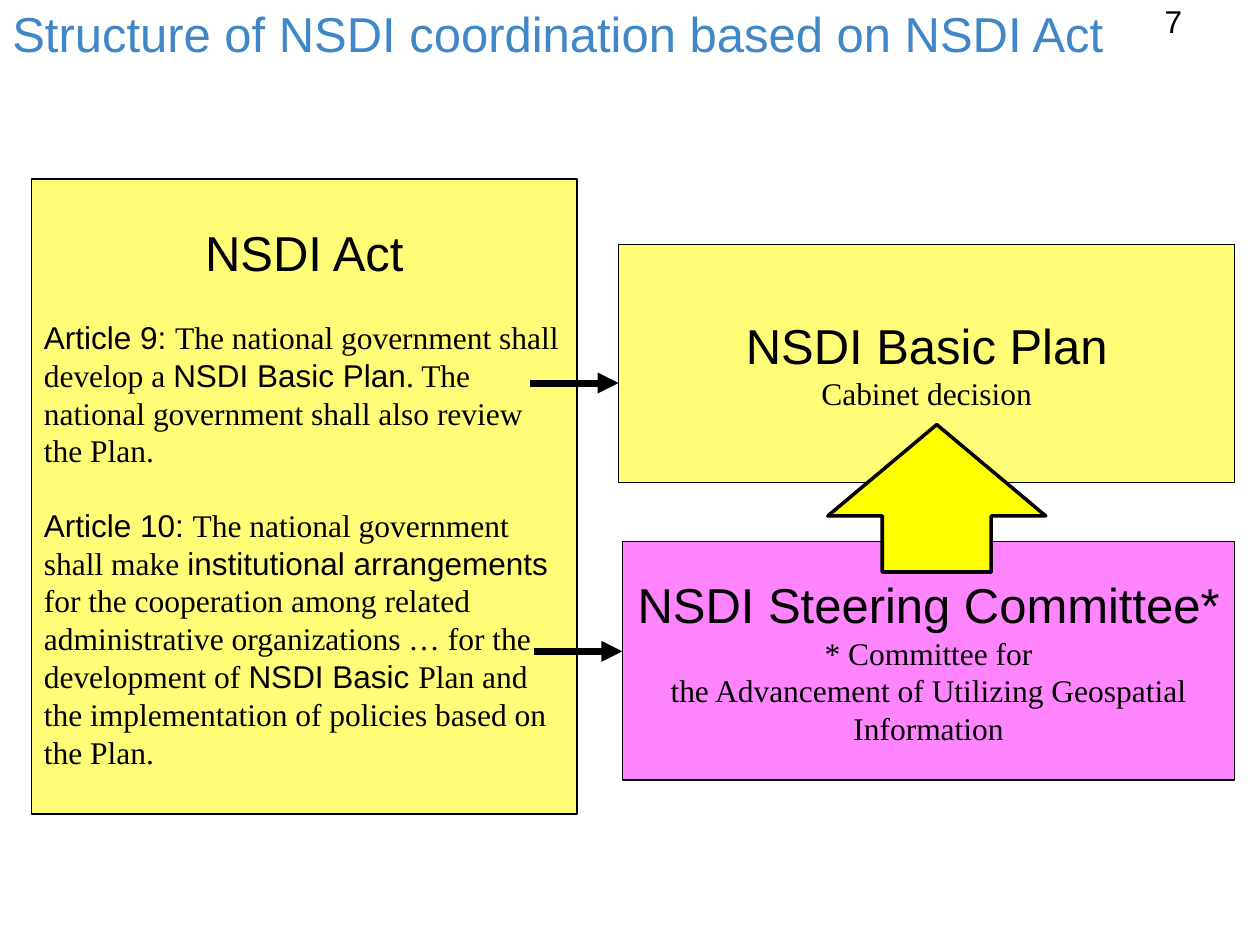
from lxml.etree import SubElement
from pptx import Presentation
from pptx.dml.color import RGBColor
from pptx.enum.shapes import MSO_CONNECTOR as Connector, MSO_SHAPE as Shape
from pptx.enum.text import MSO_ANCHOR as Anchor, PP_ALIGN as Align
from pptx.oxml.ns import qn
from pptx.util import Inches, Pt

SANS, SERIF = "Arial", "Times New Roman"
BLACK, BLUE, YELLOW, PALE_YELLOW, PINK = "000000", "4087C8", "FFFF00", "FFFD78", "FF85FF"
HEADING, BODY = 28, 18


def color(value):
    return RGBColor.from_string(value)


class SlideBuilder:
    """Draws styled elements on the current slide."""

    def __init__(self, page):
        self.page = page

    def add_text(self, frame, paragraphs, anchor, ink=BLACK):
        frame.word_wrap = True
        frame.vertical_anchor = anchor
        for index, (align, size, gap, runs) in enumerate(paragraphs):
            para = frame.add_paragraph() if index else frame.paragraphs[0]
            para.alignment = align
            para.space_before = Pt(gap)
            for text, font in runs:
                span = para.add_run()
                span.text = text
                span.font.name = font
                span.font.size = Pt(size)
                span.font.color.rgb = color(ink)

    def label(self, bounds, text, size, align, anchor, ink=BLACK):
        box = self.page.shapes.add_textbox(*map(Inches, bounds))
        self.add_text(box.text_frame, [(align, size, 0, [(text, SANS)])], anchor, ink)

    def shape(self, kind, bounds, fill, weight):
        shape = self.page.shapes.add_shape(kind, *map(Inches, bounds))
        shape.shadow.inherit = False
        shape.fill.solid()
        shape.fill.fore_color.rgb = color(fill)
        shape.line.color.rgb = color(BLACK)
        shape.line.width = Pt(weight)
        return shape

    def panel(self, bounds, fill, heading, paragraphs):
        box = self.shape(Shape.RECTANGLE, bounds, fill, 0.75)
        title = (Align.CENTER, HEADING, 0, [(heading, SANS)])
        self.add_text(box.text_frame, [title, *paragraphs], Anchor.MIDDLE)

    def arrow(self, left, right, y):
        ends = map(Inches, (left, y, right, y))
        arrow = self.page.shapes.add_connector(Connector.STRAIGHT, *ends)
        arrow.line.color.rgb = color(BLACK)
        arrow.line.width = Pt(4)
        properties = arrow._element.spPr
        SubElement(properties.find(qn("a:ln")), qn("a:tailEnd"), type="triangle")
        SubElement(properties, qn("a:effectLst"))

    def block_arrow(self, bounds, shaft, head):
        arrow = self.shape(Shape.UP_ARROW, bounds, YELLOW, 2)
        arrow.adjustments[0] = shaft
        arrow.adjustments[1] = head


def caption(text):
    return Align.CENTER, BODY, 0, [(text, SERIF)]


def article(*runs):
    return Align.LEFT, BODY, 21, runs


def main():
    deck = Presentation()
    deck.slide_width, deck.slide_height = Inches(10), Inches(7.5)
    slide = SlideBuilder(deck.slides.add_slide(deck.slide_layouts[6]))

    slide.label((0, 0, 9.09, 0.52), "Structure of NSDI coordination based on NSDI Act",
                HEADING, Align.LEFT, Anchor.MIDDLE, BLUE)
    slide.label((7.15, -0.03, 2.33, 0.52), "7", BODY, Align.RIGHT, Anchor.TOP)

    slide.panel((0.25, 1.42, 4.33, 5.04), PALE_YELLOW, "NSDI Act", [
        article(
            ("Article 9: ", SANS),
            ("The national government shall develop a ", SERIF),
            ("NSDI Basic Plan", SANS),
            (". The national government shall also review the Plan.", SERIF),
        ),
        article(
            ("Article 10: ", SANS),
            ("The national government shall make ", SERIF),
            ("institutional arrangements ", SANS),
            ("for the cooperation among related administrative organizations … "
             "for the development of ", SERIF),
            ("NSDI Basic ", SANS),
            ("Plan and the implementation of policies based on the Plan.", SERIF),
        ),
    ])
    slide.panel((4.91, 1.94, 4.89, 1.89), PALE_YELLOW, "NSDI Basic Plan",
                [caption("Cabinet decision")])
    slide.panel((4.94, 4.3, 4.86, 1.89), PINK, "NSDI Steering Committee*", [
        caption("* Committee for"),
        caption("the Advancement of Utilizing Geospatial Information"),
    ])

    slide.arrow(4.21, 4.91, 3.04)
    slide.arrow(4.24, 4.94, 5.17)
    slide.block_arrow((6.57, 3.37, 1.73, 1.17), 0.5, 0.62)

    deck.save("out.pptx")


if __name__ == "__main__":
    main()
